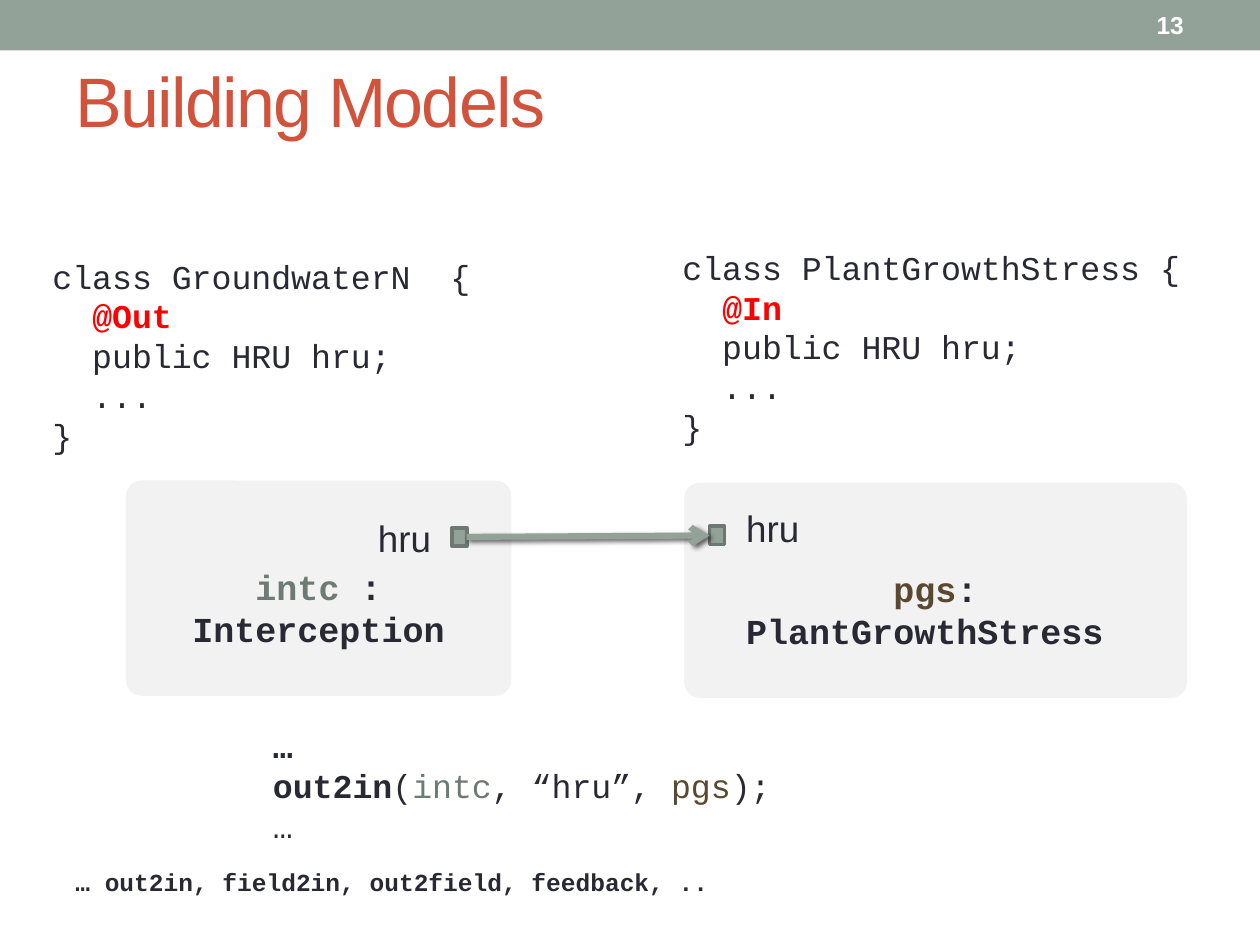
from lxml.etree import SubElement
from pptx import Presentation
from pptx.dml.color import RGBColor
from pptx.enum.shapes import MSO_CONNECTOR, MSO_SHAPE
from pptx.enum.text import MSO_ANCHOR, MSO_AUTO_SIZE, PP_ALIGN
from pptx.oxml import parse_xml
from pptx.oxml.ns import nsdecls, qn
from pptx.util import Pt

COLORS = {
    "band": "93A299", "edge": "6D7871", "title": "D2533C", "text": "292934",
    "panel": "F2F2F2", "source": "6B7D72", "target": "5A4830",
    "annotation": "FF0000", "white": "FFFFFF",
}
SANS, MONO = "Arial", "Courier New"
WIDE_INSETS = (12, 6.5, 12, 6.5)
NORMAL_INSETS = (7.2, 3.6, 7.2, 3.6)


def color(name):
    return RGBColor.from_string(COLORS[name])


def add_span(para, text, size, font=MONO, tint="text", bold=False):
    span = para.add_run()
    span.text = text
    span.font.size = Pt(size)
    span.font.name = font
    span.font.bold = bold
    span.font.color.rgb = color(tint)
    return span


def set_insets(frame, insets):
    (frame.margin_left, frame.margin_top,
     frame.margin_right, frame.margin_bottom) = map(Pt, insets)


def write_lines(frame, lines, size, font=MONO, align=PP_ALIGN.LEFT):
    """Each line is a list of (text, tint, bold) spans."""
    for number, line in enumerate(lines):
        para = frame.add_paragraph() if number else frame.paragraphs[0]
        para.alignment = align
        for text, tint, bold in line:
            add_span(para, text, size, font, tint, bold)


def add_text(page, place, lines, size, font=MONO, insets=WIDE_INSETS,
             wrap=True, anchor=MSO_ANCHOR.TOP):
    box = page.shapes.add_textbox(*map(Pt, place))
    frame = box.text_frame
    frame.word_wrap = wrap
    frame.auto_size = MSO_AUTO_SIZE.NONE
    frame.vertical_anchor = anchor
    set_insets(frame, insets)
    write_lines(frame, lines, size, font)


def add_block(page, kind, place, fill, edge=None):
    block = page.shapes.add_shape(kind, *map(Pt, place))
    block.shadow.inherit = False
    block.fill.solid()
    block.fill.fore_color.rgb = color(fill)
    if edge:
        block.line.color.rgb = color(edge)
        block.line.width = Pt(2.08)
    else:
        block.line.fill.background()
    return block


def add_component(page, place, spans):
    panel = add_block(page, MSO_SHAPE.ROUNDED_RECTANGLE, place, "panel")
    panel.adjustments[0] = 0.073
    frame = panel.text_frame
    frame.word_wrap = True
    frame.vertical_anchor = MSO_ANCHOR.MIDDLE
    # The deeper top inset keeps the name below the port
    set_insets(frame, (12, 29, 12, 6.5))
    write_lines(frame, [spans], 20, align=PP_ALIGN.CENTER)


def add_class_code(page, place, name, annotation):
    lines = [
        [(f"class {name} {{", "text", False)],
        [("  ", "text", False), (annotation, "annotation", True)],
        [("  public HRU hru;", "text", False)],
        [("  ...", "text", False)],
        [("}", "text", False)],
    ]
    add_text(page, place, lines, 19, wrap=False)


def add_arrow(page, start, end):
    arrow = page.shapes.add_connector(
        MSO_CONNECTOR.STRAIGHT, *map(Pt, start + end))
    arrow.line.color.rgb = color("band")
    arrow.line.width = Pt(3.5)
    SubElement(arrow.line._get_or_add_ln(), qn("a:tailEnd"), type="arrow")
    arrow._element.spPr.append(parse_xml(
        f'<a:effectLst {nsdecls("a")}><a:outerShdw blurRad="{Pt(3)}" '
        f'dist="{Pt(2)}" dir="2700000"><a:srgbClr val="000000">'
        '<a:alpha val="60000"/></a:srgbClr></a:outerShdw></a:effectLst>'))


def add_title(page, text):
    title = page.shapes.title
    title.left, title.top, title.width, title.height = map(
        Pt, (36, 23.8, 648, 66.2))
    frame = title.text_frame
    frame.vertical_anchor = MSO_ANCHOR.MIDDLE
    para = frame.paragraphs[0]
    para.alignment = PP_ALIGN.LEFT
    span = add_span(para, text, 40, SANS, "title")
    span.font._element.set("spc", "-100")


def main():
    deck = Presentation()
    deck.slide_width, deck.slide_height = Pt(720), Pt(540)
    page = deck.slides.add_slide(deck.slide_layouts[5])

    # Header band, title and page number
    add_block(page, MSO_SHAPE.RECTANGLE, (0, 0, 720, 28.8), "band")
    add_title(page, "Building Models")
    add_text(page, (653.8, 1.4, 41.8, 26), [[("13", "white", True)]], 14,
             SANS, NORMAL_INSETS, anchor=MSO_ANCHOR.MIDDLE)

    # Components
    add_component(page, (391, 275.8, 287.2, 123),
                  [("pgs", "target", True),
                   (": PlantGrowthStress ", "text", True)])
    add_component(page, (72, 274.6, 220.2, 123),
                  [("intc", "source", True),
                   (" : Interception", "text", True)])

    # Ports and the link between them
    label = [[("hru", "text", False)]]
    add_text(page, (414.4, 282.4, 56, 38), label, 21, SANS, wrap=False)
    add_text(page, (204, 288, 72, 38), label, 21, SANS)
    for left, top in ((258.2, 301.7), (405.4, 300.7)):
        add_block(page, MSO_SHAPE.RECTANGLE, (left, top, 8.6, 10.4),
                  "band", "edge")
    add_arrow(page, (266.6, 306.8), (405.4, 306))

    # Class code above the components
    add_class_code(page, (18, 139.7, 269.3, 128.2), "GroundwaterN ", "@Out")
    add_class_code(page, (378, 134.6, 316, 128.2), "PlantGrowthStress", "@In")

    # Connection code and the list of calls
    call = [("out2in", "text", True), ("(", "text", False),
            ("intc", "source", False), (", “hru”, ", "text", False),
            ("pgs", "target", False), (");", "text", False)]
    add_text(page, (144, 408.2, 420.5, 82),
             [[("…", "text", True)], call, [("…", "text", False)]], 19)
    add_text(page, (36, 491.8, 396, 24.5),
             [[("… out2in, field2in, out2field, feedback, ..",
                "text", True)]], 14, insets=NORMAL_INSETS)

    deck.save("out.pptx")


if __name__ == "__main__":
    main()
